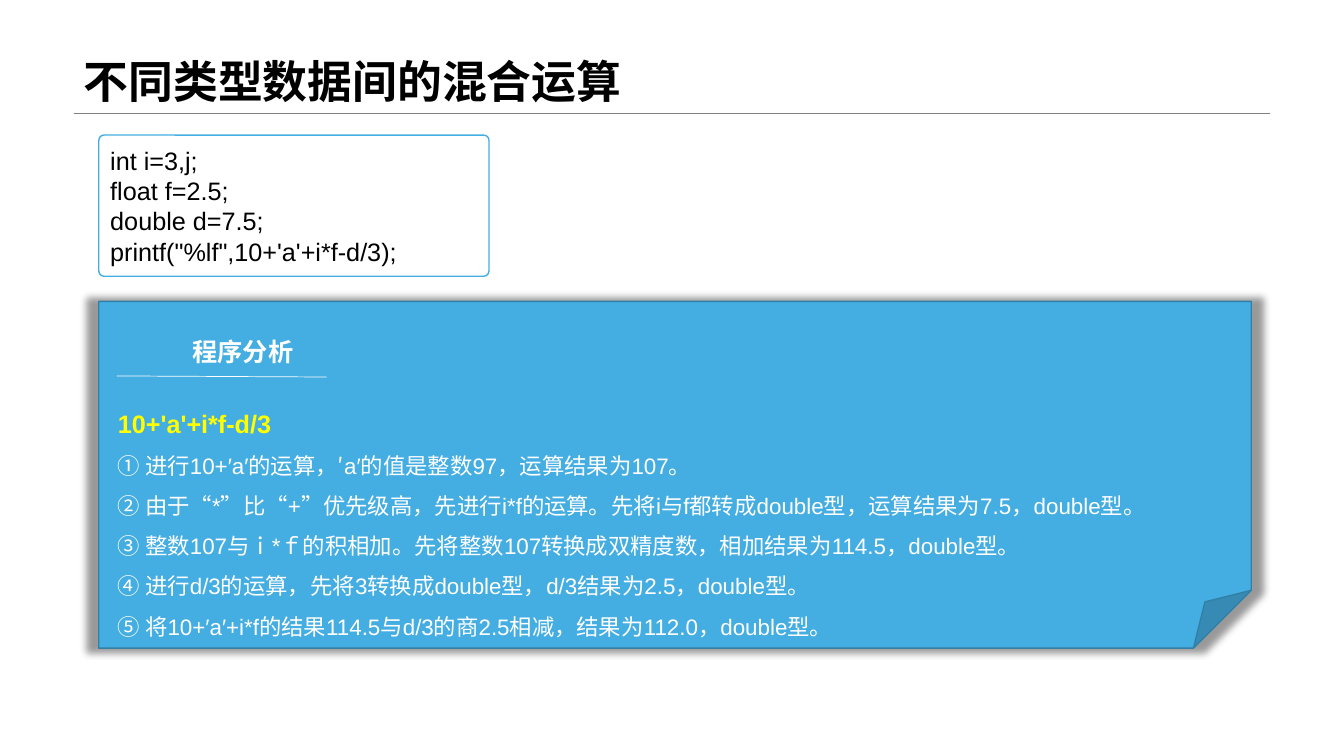
from lxml import etree
from pptx import Presentation
from pptx.dml.color import RGBColor
from pptx.enum.shapes import MSO_CONNECTOR, MSO_SHAPE
from pptx.enum.text import MSO_ANCHOR, PP_ALIGN
from pptx.oxml.ns import qn
from pptx.util import Inches, Pt

ROUND = MSO_SHAPE.ROUNDED_RECTANGLE
FOLD = MSO_SHAPE.FOLDED_CORNER
STRAIGHT = MSO_CONNECTOR.STRAIGHT
TOP, MIDDLE, BOTTOM = MSO_ANCHOR.TOP, MSO_ANCHOR.MIDDLE, MSO_ANCHOR.BOTTOM
LEFT, JUSTIFY = PP_ALIGN.LEFT, PP_ALIGN.JUSTIFY

BLACK = RGBColor(0x00, 0x00, 0x00)
WHITE = RGBColor(0xFF, 0xFF, 0xFF)
GRAY = RGBColor(0x80, 0x80, 0x80)
BLUE = RGBColor(0x44, 0xAD, 0xE1)
DARK = RGBColor(0x32, 0x80, 0xA6)
YELLOW = RGBColor(0xFF, 0xFF, 0x00)

LATIN = "Arial"
HAN = "Noto Sans CJK SC"
WIDE, HIGH = Inches(13.33), Inches(7.5)
MARGIN, EDGE, RULE = 5.48, 7.35, 14.93

CODE = [
    "int i=3,j;",
    "float f=2.5;",
    "double d=7.5;",
    "printf(\"%lf\",10+'a'+i*f-d/3);",
]
STEPS = [
    "10+'a'+i*f-d/3",
    "① 进行10+′a′的运算，′a′的值是整数97，运算结果为107。",
    "② 由于“*”比“+”优先级高，先进行i*f的运算。先将i与f都转成double型，运算结果为7.5，double型。",
    "③ 整数107与ｉ*ｆ的积相加。先将整数107转换成双精度数，相加结果为114.5，double型。",
    "④ 进行d/3的运算，先将3转换成double型，d/3结果为2.5，double型。",
    "⑤ 将10+′a′+i*f的结果114.5与d/3的商2.5相减，结果为112.0，double型。",
]


def place(x, y, w, h):
    return [int(part * side / 100)
            for part, side in zip((x, y, w, h), (WIDE, HIGH) * 2)]


def style(para, size, color, bold=False, font=LATIN):
    for run in para.runs:
        run.font.size = Pt(size)
        run.font.bold = bold
        run.font.name = font
        run.font.color.rgb = color
        east = etree.SubElement(run.font._element, qn("a:ea"))
        east.set("typeface", HAN)


def write(shape, lines, size, color, bold=False, font=LATIN,
          anchor=TOP, align=LEFT, space=1.0):
    frame = shape.text_frame
    frame.word_wrap = True
    frame.vertical_anchor = anchor
    frame.text = "\n".join(lines)
    for para in frame.paragraphs:
        para.alignment = align
        para.line_spacing = space
        style(para, size, color, bold, font)
    return frame


def add_text(slide, box, lines, size, color, **look):
    shape = slide.shapes.add_textbox(*place(*box))
    return write(shape, lines, size, color, **look)


def add_panel(slide, kind, box, fill, edge):
    shape = slide.shapes.add_shape(kind, *place(*box))
    shape.shadow.inherit = False
    shape.fill.solid()
    shape.fill.fore_color.rgb = fill
    shape.line.color.rgb = edge
    shape.line.width = Pt(1)
    return shape


def add_glow(shape):
    effects = shape._element.spPr.find(qn("a:effectLst"))
    shade = etree.SubElement(
        effects, qn("a:outerShdw"), blurRad=str(Pt(5)), dist="0", dir="0",
        sx="102000", sy="102000", algn="ctr", rotWithShape="0")
    color = etree.SubElement(shade, qn("a:srgbClr"), val=str(BLACK))
    etree.SubElement(color, qn("a:alpha"), val="40000")


def add_rule(slide, ends, color, width):
    rule = slide.shapes.add_connector(STRAIGHT, *place(*ends))
    rule.line.color.rgb = color
    rule.line.width = Pt(width)
    etree.SubElement(rule._element.spPr, qn("a:effectLst"))


def main():
    deck = Presentation()
    deck.slide_width, deck.slide_height = WIDE, HIGH
    slide = deck.slides.add_slide(deck.slide_layouts[6])

    add_rule(slide, (MARGIN, RULE, 100 - MARGIN, RULE), GRAY, 0.25)
    add_text(slide, (MARGIN, 0, 100 - 2 * MARGIN, RULE),
             ["不同类型数据间的混合运算"], 32, BLACK,
             bold=True, font=HAN, anchor=BOTTOM, space=0.9)

    code = add_panel(slide, ROUND, (EDGE, 17.87, 29.03, 18.67), WHITE, BLUE)
    code.adjustments[0] = 0.037
    write(code, CODE, 18, BLACK, anchor=MIDDLE)

    note = add_panel(slide, FOLD, (EDGE, 39.87, 85.75, 45.87), BLUE, DARK)
    add_glow(note)
    add_text(slide, (13.58, 43.87, 10.2, 6.13), ["程序分析"], 18, WHITE,
             bold=True, font=HAN, align=JUSTIFY)
    add_rule(slide, (8.7, 49.73, 24.31, 49.87), WHITE, 0.5)
    steps = add_text(slide, (8.03, 51.33, 83.2, 34.27), STEPS, 16, WHITE,
                     space=1.5)
    for run in steps.paragraphs[0].runs:
        run.font.size = Pt(18)
        run.font.bold = True
        run.font.color.rgb = YELLOW

    deck.save("out.pptx")


if __name__ == "__main__":
    main()
